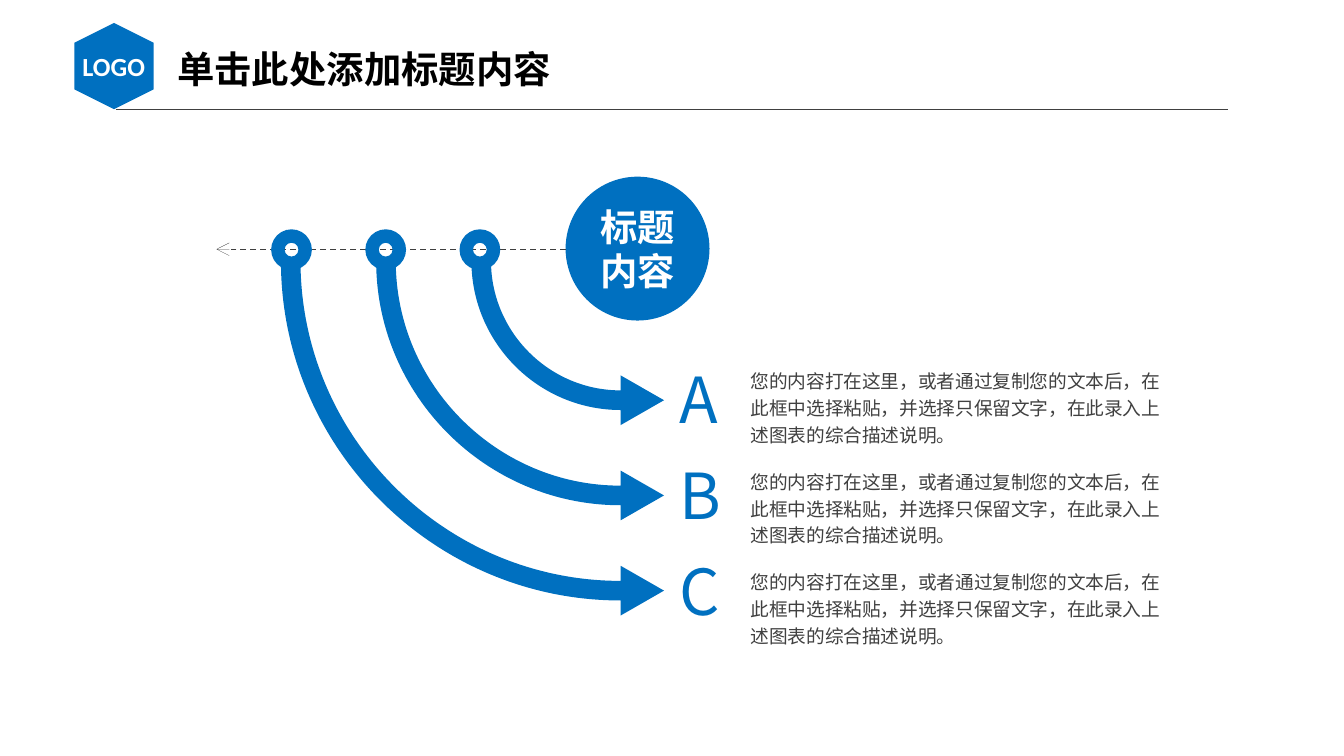
from lxml import etree
from pptx import Presentation, util as u
from pptx.dml.color import RGBColor
from pptx.enum import dml, shapes, text
from pptx.oxml import ns

COLORS = {"blue": "0070C0", "gray": "404040", "white": "FFFFFF", "black": "000000"}
CJK_FONT = "Noto Sans CJK SC"
TIGHT = (0.15, 0.08)
BODY = "您的内容打在这里，或者通过复制您的文本后，在此框中选择粘贴，并选择只保留文字，在此录入上述图表的综合描述说明。"

ARC_CENTER = (11.73, 4.93)
ARC_RADIUS, ARC_STEP = 2.82, 1.8
ARC_HANDLE = 0.55
BAND = 0.37
HEAD_LENGTH, HEAD_HALF = 0.82, 0.47
RING_CENTER = (9.07, 4.72)
RING_SIZE, RING_STEP = 0.77, 1.78


def color(name):
    return RGBColor.from_string(COLORS[name])


def paint(shape, fill):
    shape.shadow.inherit = False
    shape.fill.solid()
    shape.fill.fore_color.rgb = color(fill)
    shape.line.fill.background()


def add_figure(slide, kind, left, top, width, height):
    shape = slide.shapes.add_shape(kind, u.Cm(left), u.Cm(top), u.Cm(width), u.Cm(height))
    paint(shape, "blue")
    return shape


def write(shape, content, size=10, fill="gray", font=CJK_FONT, bold=False, align=None,
          anchor=text.MSO_ANCHOR.TOP, insets=(0.25, 0.13), wrap=True, spacing=None):
    frame = shape.text_frame
    frame.word_wrap = wrap
    frame.vertical_anchor = anchor
    frame.margin_left = frame.margin_right = u.Cm(insets[0])
    frame.margin_top = frame.margin_bottom = u.Cm(insets[1])
    paragraph = frame.paragraphs[0]
    paragraph.alignment = align
    paragraph.line_spacing = spacing
    run = paragraph.add_run()
    run.text = content
    run.font.size = u.Pt(size)
    run.font.bold = bold
    run.font.color.rgb = color(fill)
    run.font.name = font
    etree.SubElement(run.font._element, ns.qn("a:ea"), typeface=font)


def add_text(slide, content, left, top, width, height, **style):
    box = slide.shapes.add_textbox(u.Cm(left), u.Cm(top), u.Cm(width), u.Cm(height))
    write(box, content, **style)
    box.text_frame.auto_size = text.MSO_AUTO_SIZE.SHAPE_TO_FIT_TEXT


def add_hairline(slide, start, end, dashed_arrow=False):
    connector = slide.shapes.add_connector(
        shapes.MSO_CONNECTOR.STRAIGHT, *(u.Cm(value) for value in (*start, *end)))
    connector.line.color.rgb = color("gray")
    properties = connector._element.spPr
    outline = properties.find(ns.qn("a:ln"))
    outline.set("w", "0")
    if dashed_arrow:
        connector.line.dash_style = dml.MSO_LINE.DASH
        etree.SubElement(outline, ns.qn("a:tailEnd"), type="arrow")
    etree.SubElement(properties, ns.qn("a:effectLst"))


def quarter_arc(radius):
    x, y = ARC_CENTER
    handle = radius * ARC_HANDLE
    return [(x - radius, y), (x - radius, y + handle),
            (x - handle, y + radius), (x, y + radius)]


def bend(segments):
    curve = etree.Element(ns.qn("a:cubicBezTo"))
    segments[0].addprevious(curve)
    for segment in segments:
        curve.append(segment[0])
        segment.getparent().remove(segment)


def add_curved_arrow(slide, radius):
    x, y = ARC_CENTER
    middle = y + radius - BAND / 2
    head = [(x, middle - HEAD_HALF), (x + HEAD_LENGTH, middle), (x, middle + HEAD_HALF)]
    outline = quarter_arc(radius - BAND) + head + quarter_arc(radius)[::-1]
    points = [(u.Cm(px), u.Cm(py)) for px, py in outline]
    builder = slide.shapes.build_freeform(*points[0])
    builder.add_line_segments(points[1:], close=True)
    arrow = builder.convert_to_shape()
    paint(arrow, "blue")
    segments = list(arrow._element.iter(ns.qn("a:lnTo")))
    bend(segments[:3])
    bend(segments[7:10])


def add_ring(slide, center_x, center_y):
    ring = add_figure(slide, shapes.MSO_SHAPE.DONUT, center_x - RING_SIZE / 2,
                      center_y - RING_SIZE / 2, RING_SIZE, RING_SIZE)
    ring.adjustments[0] = 0.33


def add_header(slide):
    add_hairline(slide, (2.2, 2.07), (23.2, 2.07))
    hexagon = add_figure(slide, shapes.MSO_SHAPE.HEXAGON, 1.34, 0.5, 1.63, 1.5)
    hexagon.rotation = 90
    add_text(slide, "LOGO", 1.25, 0.83, 1.8, 0.86, size=14, fill="white",
             font="Calibri", bold=True, align=text.PP_ALIGN.CENTER)
    add_text(slide, "单击此处添加标题内容", 3.1, 0.74, 10, 1.12,
             size=20, fill="black", bold=True)


def add_diagram(slide):
    circle = add_figure(slide, shapes.MSO_SHAPE.OVAL, 10.69, 3.34, 2.72, 2.72)
    write(circle, "标题内容", size=20, fill="white", bold=True, insets=TIGHT,
          align=text.PP_ALIGN.CENTER, anchor=text.MSO_ANCHOR.MIDDLE)
    add_hairline(slide, (10.69, 4.71), (4.09, 4.71), dashed_arrow=True)
    for index, letter in enumerate("ABC"):
        add_curved_arrow(slide, ARC_RADIUS + index * ARC_STEP)
        add_ring(slide, RING_CENTER[0] - index * RING_STEP, RING_CENTER[1])
        add_text(slide, letter, 12.69, 6.73 + index * 1.81, 1.12, 1.6, size=34, fill="blue",
                 anchor=text.MSO_ANCHOR.MIDDLE, insets=TIGHT, wrap=False)
        add_text(slide, BODY, 14.04, 6.83 + index * 1.9, 8.08, 1.7,
                 insets=TIGHT, spacing=1.2)


def main():
    presentation = Presentation()
    presentation.slide_width = u.Cm(25.4)
    presentation.slide_height = u.Cm(14.29)
    slide = presentation.slides.add_slide(presentation.slide_layouts[6])
    add_header(slide)
    add_diagram(slide)
    presentation.save("out.pptx")


if __name__ == "__main__":
    main()
